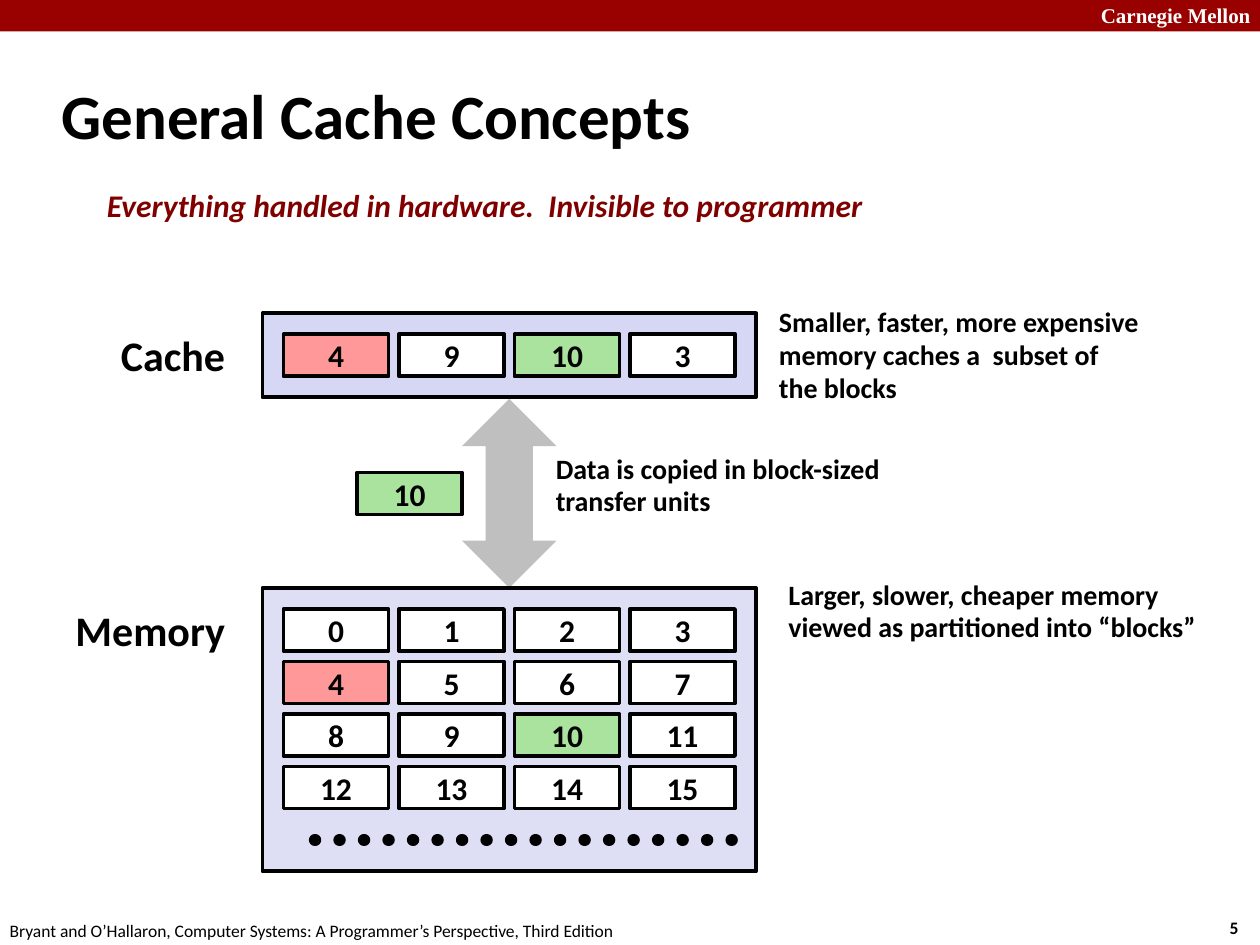
from lxml.etree import SubElement
from pptx import Presentation
from pptx.dml.color import RGBColor
from pptx.enum.dml import MSO_LINE
from pptx.enum.shapes import MSO_CONNECTOR, MSO_SHAPE
from pptx.enum.text import MSO_ANCHOR, MSO_AUTO_SIZE, PP_ALIGN
from pptx.oxml.ns import qn
from pptx.util import Pt

TITLE = "General Cache Concepts"
BLACK, WHITE, MAROON = "000000", "FFFFFF", "800000"
HIGHLIGHTS = {4: "FF9999", 10: "A9E39D"}

BLOCK_W, BLOCK_H = 60, 24
PITCH_X, PITCH_Y = 66, 30
COLUMNS = 4
BLOCKS_LEFT = 162

# box (left, top, width, height), fill, top of first block row, block numbers
STORES = [
    ((150, 336, 282, 162), "DEDFF5", 348, range(16)),
    ((150, 179, 282, 48), "D6D6F5", 191, [4, 9, 10, 3]),
]
TRANSFERRED = (10, 204, 270)

# box, lines, wrap, paragraph format, font format
PLAIN = {}
NOTE = {"line_spacing": 0.98}
NOTE_FONT = {"size": Pt(16), "bold": True}
LABEL_FONT = {"size": Pt(24), "bold": True}
TEXTS = [
    ((622, -2, 103, 22), ["Carnegie Mellon"], True, PLAIN,
     {"size": Pt(12), "bold": True, "name": "Times New Roman", "color": WHITE}),
    ((695.5, 520.5, 27, 19.5), ["5"], False, PLAIN, {"size": Pt(10), "bold": True}),
    ((-1.5, 522, 366, 19.5),
     ["Bryant and O’Hallaron, Computer Systems: A Programmer’s Perspective, Third Edition"],
     False, PLAIN, {"size": Pt(10)}),
    ((54, 102.5, 451.5, 29), ["Everything handled in hardware.  Invisible to programmer"],
     False, PLAIN, {"size": Pt(18), "bold": True, "italic": True, "color": MAROON}),
    ((62, 185, 75, 36), ["Cache"], False, PLAIN, LABEL_FONT),
    ((36, 342, 101, 36), ["Memory"], False, PLAIN, LABEL_FONT),
    ((443.5, 327, 252, 45),
     ["Larger, slower, cheaper memory", "viewed as partitioned into “blocks”"],
     False, NOTE, NOTE_FONT),
    ((310.5, 255, 223, 45), ["Data is copied in block-sized transfer units"],
     True, NOTE, NOTE_FONT),
    ((438, 171, 231, 64),
     ["Smaller, faster, more expensive", "memory caches a  subset of", "the blocks"],
     False, NOTE, NOTE_FONT),
]


def rgb(color):
    return RGBColor.from_string(color)


def format_font(font, values):
    values = {"name": "Calibri", "color": BLACK, **values}
    font.color.rgb = rgb(values.pop("color"))
    for key, value in values.items():
        setattr(font, key, value)


def add_filled(shapes, kind, box, fill, outlined=False):
    shape = shapes.add_shape(kind, *map(Pt, box))
    shape.shadow.inherit = False
    shape.fill.solid()
    shape.fill.fore_color.rgb = rgb(fill)
    if outlined:
        shape.line.color.rgb = rgb(BLACK)
        shape.line.width = Pt(2.25)
    else:
        shape.line.fill.background()
    return shape


def add_block(shapes, number, left, top):
    block = add_filled(shapes, MSO_SHAPE.RECTANGLE, (left, top, BLOCK_W, BLOCK_H),
                       HIGHLIGHTS.get(number, WHITE), outlined=True)
    frame = block.text_frame
    frame.vertical_anchor = MSO_ANCHOR.MIDDLE
    frame.text = str(number)
    frame.paragraphs[0].alignment = PP_ALIGN.CENTER
    format_font(frame.paragraphs[0].font, {"size": Pt(18), "bold": True})


def add_text(shapes, box, lines, wrap, layout, font):
    frame = shapes.add_textbox(*map(Pt, box)).text_frame
    frame.word_wrap = wrap
    frame.auto_size = MSO_AUTO_SIZE.SHAPE_TO_FIT_TEXT
    if layout is NOTE:
        frame.vertical_anchor = MSO_ANCHOR.MIDDLE
    frame.text = "\n".join(lines)
    for paragraph in frame.paragraphs:
        for key, value in layout.items():
            setattr(paragraph, key, value)
        format_font(paragraph.font, font)


def add_more_blocks_dots(shapes, left, right, y):
    dots = shapes.add_connector(MSO_CONNECTOR.STRAIGHT, *map(Pt, (left, y, right, y)))
    dots.line.color.rgb = rgb(BLACK)
    dots.line.width = Pt(7)
    dots.line.dash_style = MSO_LINE.ROUND_DOT
    dots.line._get_or_add_ln().set("cap", "rnd")
    SubElement(dots._element.spPr, qn("a:effectLst"))


def format_title(title):
    values = {"left": 28, "top": 35.5, "width": 598, "height": 60}
    for key, value in values.items():
        setattr(title, key, Pt(value))
    title.text_frame.text = TITLE
    title.text_frame.vertical_anchor = MSO_ANCHOR.MIDDLE
    title.text_frame.paragraphs[0].alignment = PP_ALIGN.LEFT
    format_font(title.text_frame.paragraphs[0].font, {"size": Pt(36), "bold": True})


def main():
    deck = Presentation()
    deck.slide_width, deck.slide_height = Pt(720), Pt(540)
    slide = deck.slides.add_slide(deck.slide_layouts[5])
    shapes = slide.shapes
    format_title(shapes.title)

    add_filled(shapes, MSO_SHAPE.RECTANGLE, (0, 0, 720, 18), "990000")
    add_filled(shapes, MSO_SHAPE.UP_DOWN_ARROW, (264, 228, 54, 108), "BFBFBF")
    for box, fill, top, numbers in STORES:
        add_filled(shapes, MSO_SHAPE.RECTANGLE, box, fill, outlined=True)
        for index, number in enumerate(numbers):
            row, column = divmod(index, COLUMNS)
            add_block(shapes, number, BLOCKS_LEFT + column * PITCH_X, top + row * PITCH_Y)
    add_block(shapes, *TRANSFERRED)
    add_more_blocks_dots(shapes, 180, 420, 480)
    for text in TEXTS:
        add_text(shapes, *text)

    deck.save("out.pptx")


if __name__ == "__main__":
    main()
